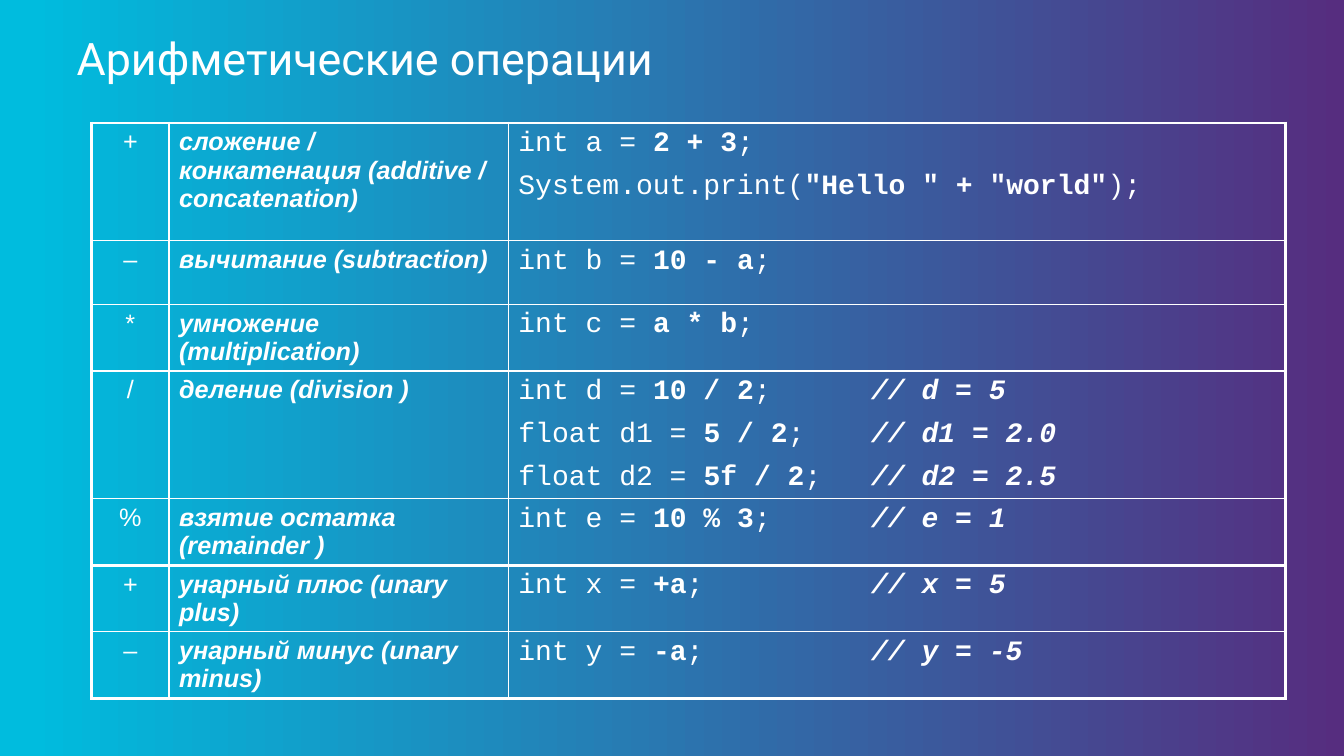
import pptx
import pptx.dml.color
import pptx.enum.text
import pptx.oxml.ns
import pptx.util
from lxml import etree

Cm = pptx.util.Cm
Pt = pptx.util.Pt
RGBColor = pptx.dml.color.RGBColor
PP_ALIGN = pptx.enum.text.PP_ALIGN

WHITE = RGBColor(0xFF, 0xFF, 0xFF)
PURPLE = RGBColor(0x56, 0x2D, 0x7F)
CYAN = RGBColor(0x00, 0xBC, 0xDE)

COL_SHARES = [1.95, 8.55, 19.58]
ROW_HEIGHTS = [2.97, 1.6, 1.6, 3.15, 1.6, 1.6, 1.6]
THICK_ROW_EDGES = {0, 5, 7}
THICK_COL_EDGES = {0, 3}
COMMENT_TAB = Cm(8.89)

# Bars split a code line into plain, bold, plain and bold italic parts
OPERATIONS = [
    ("+", "сложение / конкатенация (additive / concatenation)",
     ["int a = |2 + 3|;", 'System.out.print(|"Hello " + "world"|);']),
    ("–", "вычитание (subtraction)", ["int b = |10 - a|;"]),
    ("*", "умножение (multiplication)", ["int c = |a * b|;"]),
    ("/", "деление (division )",
     ["int d = |10 / 2|;\t|// d = 5",
      "float d1 = |5 / 2|;\t|// d1 = 2.0",
      "float d2 = |5f / 2|;\t|// d2 = 2.5"]),
    ("%", "взятие остатка (remainder )", ["int e = |10 % 3|;\t|// e = 1"]),
    ("+", "унарный плюс (unary plus)", ["int x = |+a|;\t|// x = 5"]),
    ("–", "унарный минус (unary minus)", ["int y = |-a|;\t|// y = -5"]),
]


def format_run(r, font, size, bold=False, italic=False):
    r.font.name = font
    r.font.size = Pt(size)
    r.font.bold = bold
    r.font.italic = italic
    r.font.color.rgb = WHITE


def set_background(s):
    fill = s.background.fill
    fill.gradient()
    fill.gradient_angle = 180
    for stop, color, position in zip(fill.gradient_stops, (PURPLE, CYAN), (0, 0.98)):
        stop.color.rgb = color
        stop.position = position


def add_title(s, text, left, top, width, height):
    sp = s.shapes.title
    sp.left, sp.top, sp.width, sp.height = left, top, width, height
    tf = sp.text_frame
    tf.text = text
    tf.margin_left = 0
    tf.auto_size = pptx.enum.text.MSO_AUTO_SIZE.NONE
    tf.vertical_anchor = pptx.enum.text.MSO_ANCHOR.TOP
    p = tf.paragraphs[0]
    p.alignment = PP_ALIGN.LEFT
    p.line_spacing = 0.9
    format_run(p.runs[0], "Roboto", 32)


def set_borders(cell, row, col):
    tc_pr = cell._tc.get_or_add_tcPr()
    edges = [("a:lnL", col in THICK_COL_EDGES),
             ("a:lnR", col + 1 in THICK_COL_EDGES),
             ("a:lnT", row in THICK_ROW_EDGES),
             ("a:lnB", row + 1 in THICK_ROW_EDGES)]
    for tag, thick in edges:
        ln = etree.SubElement(tc_pr, pptx.oxml.ns.qn(tag), w=str(Pt(2.25 if thick else 1)))
        fill = etree.SubElement(ln, pptx.oxml.ns.qn("a:solidFill"))
        etree.SubElement(fill, pptx.oxml.ns.qn("a:srgbClr"), val=str(WHITE))


def add_comment_tab(p):
    p_pr = p._p.get_or_add_pPr()
    tabs = etree.SubElement(p_pr, pptx.oxml.ns.qn("a:tabLst"))
    etree.SubElement(tabs, pptx.oxml.ns.qn("a:tab"), pos=str(COMMENT_TAB), algn="l")


def fill_code(tf, lines):
    for i, line in enumerate(lines):
        p = tf.add_paragraph() if i else tf.paragraphs[0]
        if i:
            p.space_before = Pt(8)
        if "\t" in line:
            add_comment_tab(p)
        for part, text in enumerate(line.split("|")):
            r = p.add_run()
            r.text = text
            format_run(r, "Courier New", 20, bold=part % 2 == 1, italic=part == 3)


def add_operations(s, left, top, width):
    height = Cm(sum(ROW_HEIGHTS))
    table = s.shapes.add_table(len(OPERATIONS), len(COL_SHARES),
                               left, top, width, height).table
    table.first_row = False
    table.horz_banding = False
    for column, share in zip(table.columns, COL_SHARES):
        column.width = int(width * share / sum(COL_SHARES))
    for i, (sign, name, code) in enumerate(OPERATIONS):
        table.rows[i].height = Cm(ROW_HEIGHTS[i])
        cells = table.rows[i].cells
        for j, cell in enumerate(cells):
            set_borders(cell, i, j)
            cell.fill.background()
        # Sign, name and sample code
        for cell, text in zip(cells, (sign, name)):
            cell.text_frame.text = text
            is_name = text == name
            p = cell.text_frame.paragraphs[0]
            p.alignment = PP_ALIGN.LEFT if is_name else PP_ALIGN.CENTER
            format_run(p.runs[0], "Arial", 18, bold=is_name, italic=is_name)
        fill_code(cells[2].text_frame, code)


def main():
    prs = pptx.Presentation()
    prs.slide_width, prs.slide_height = Cm(33.87), Cm(19.05)
    s = prs.slides.add_slide(prs.slide_layouts[5])
    set_background(s)
    add_title(s, "Арифметические операции", Cm(1.93), Cm(0.81), Cm(30.05), Cm(1.9))
    add_operations(s, Cm(2.31), Cm(3.1), Cm(30.08))
    prs.save("out.pptx")


if __name__ == "__main__":
    main()
